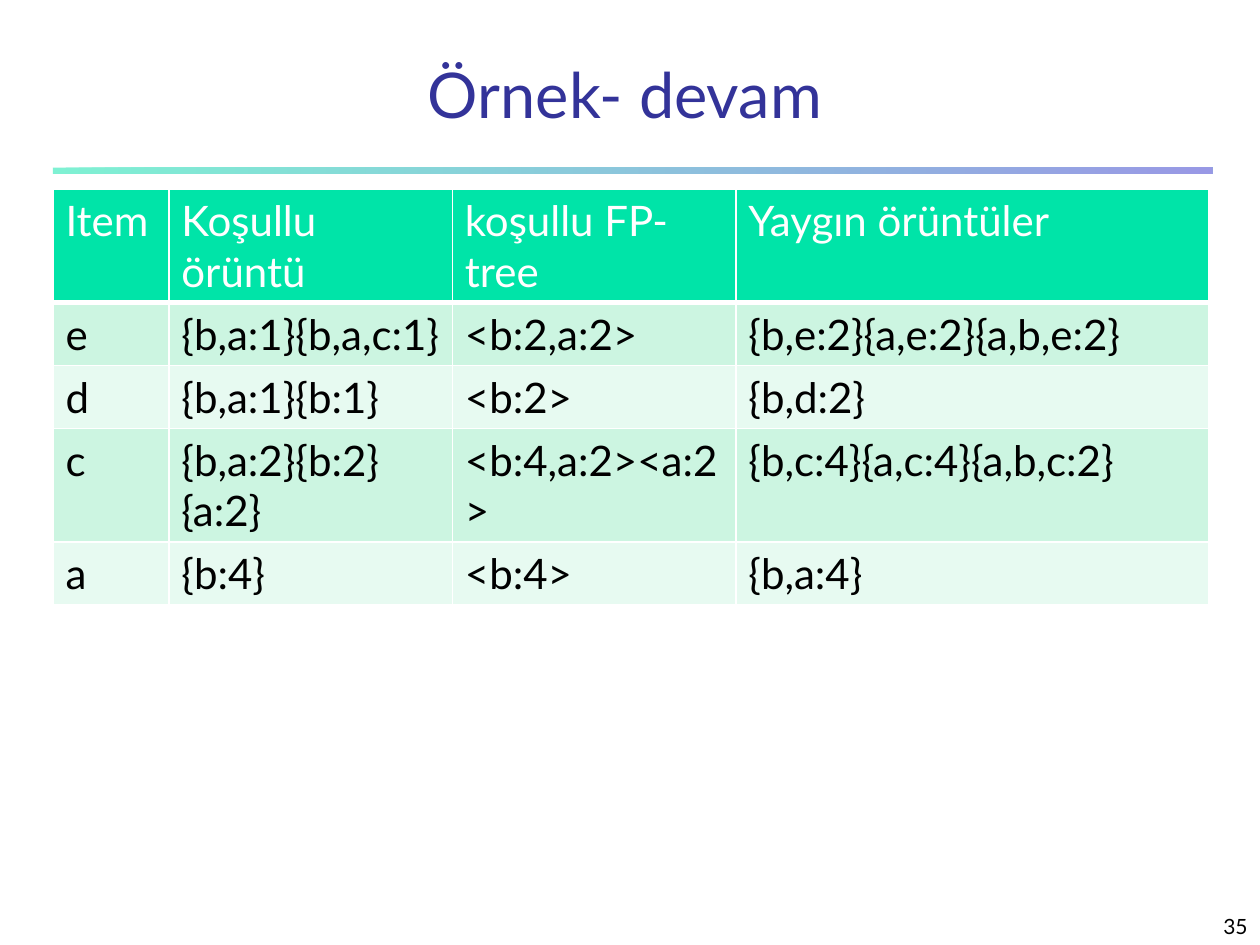
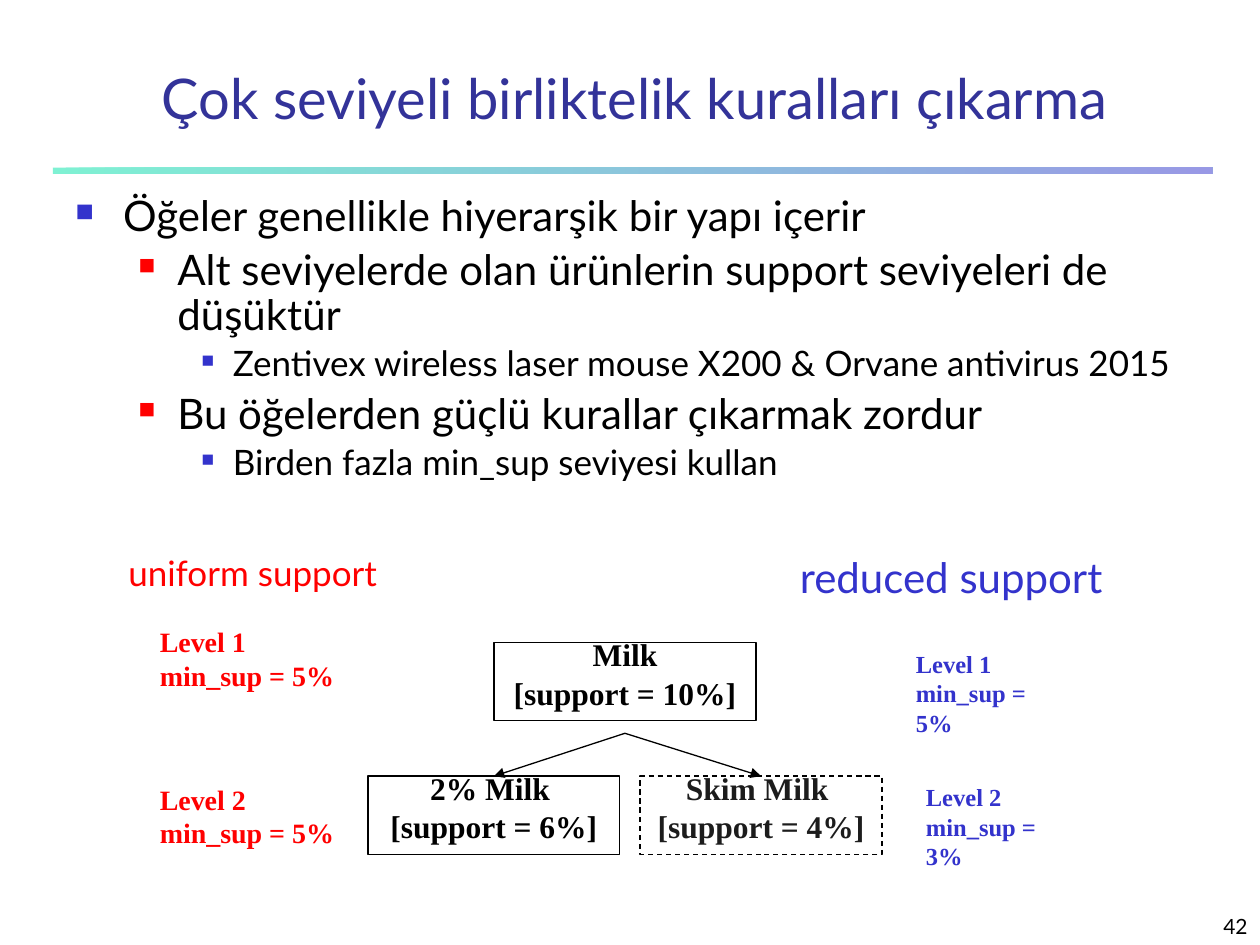
from dataclasses import dataclass

from lxml.etree import SubElement
from pptx import Presentation
from pptx.dml.color import RGBColor
from pptx.enum.dml import MSO_LINE as Dash
from pptx.enum.shapes import MSO_CONNECTOR as Link, MSO_SHAPE as Form
from pptx.enum.text import MSO_ANCHOR as Anchor, MSO_AUTO_SIZE as Fit, PP_ALIGN as Align
from pptx.oxml.ns import qn
from pptx.util import Emu, Pt

# Shared look
SCALE = 9144  # EMU in one px, 100 px to the inch
SANS, SERIF = "Lato", "Times New Roman"
BLACK, WHITE, RED, BLUE = "000000", "FFFFFF", "FF0000", "3333CC"
NAVY, GREEN, COAL = "333399", "00E4A8", "1C1C1C"
BANDS = ("CCF5E1", "E7FAF1")


@dataclass
class Bullet:
    left: int
    hang: int
    color: str
    ratio: int
    size: int


@dataclass
class Label:
    x: int
    y: int
    w: int
    h: int
    lines: tuple
    size: int
    color: str
    font: str = SERIF
    bold: bool = True


@dataclass
class Node:
    x: int
    y: int
    w: int
    lines: tuple
    color: str = BLACK
    dashed: bool = False


LEVELS = (Bullet(38, 38, BLUE, 60, 24), Bullet(81, 31, RED, 55, 24),
          Bullet(125, 25, BLUE, 50, 20))


# Helpers
def px(*vals: int) -> list:
    return [Emu(v * SCALE) for v in vals]


def rgb(code: str) -> RGBColor:
    return RGBColor.from_string(code)


def tag(root, name: str, **attrs):
    return SubElement(root, qn(name), {k: str(v) for k, v in attrs.items()})


def fade(shape, share: int) -> None:
    """Set the opacity of every fill colour, in percent."""
    for color in shape._element.spPr.iter(qn("a:srgbClr")):
        tag(color, "a:alpha", val=share * 1000)


def write(frame, text: str, *, size: int, color: str = BLACK, font: str = SANS,
          bold: bool = False, align=Align.LEFT, gap: float = 0, lead: float = 1.0):
    """Add one paragraph; gap is a share of the text size."""
    para = frame.paragraphs[0]
    if para.runs:
        para = frame.add_paragraph()
    para.alignment, para.line_spacing = align, lead
    para.space_before = Pt(round(gap * size, 1))
    run = para.add_run()
    run.text = text
    face = run.font
    face.name, face.size, face.bold = font, Pt(size), bold
    face.color.rgb = rgb(color)
    return para


def box(slide, x: int, y: int, w: int, h: int, anchor=Anchor.TOP, wrap: bool = True):
    frame = slide.shapes.add_textbox(*px(x, y, w, h)).text_frame
    frame.word_wrap, frame.vertical_anchor = wrap, anchor
    if not wrap:
        frame.auto_size = Fit.SHAPE_TO_FIT_TEXT
    return frame


def block(slide, x: int, y: int, w: int, h: int):
    shape = slide.shapes.add_shape(Form.RECTANGLE, *px(x, y, w, h))
    shape.shadow.inherit = False
    return shape


def base(deck, title: str, size: int, x: int, w: int, page: int):
    """Add a slide with its title, gradient rule and page number."""
    slide = deck.slides.add_slide(deck.slide_layouts[6])
    rule = block(slide, 42, 133, 920, 5)
    rule.line.fill.background()
    rule.fill.gradient()
    rule.fill.gradient_angle = 0
    for stop, color in zip(rule.fill.gradient_stops, (GREEN, BLUE)):
        stop.color.rgb = rgb(color)
    fade(rule, 50)
    write(box(slide, x, 42, w, 67, Anchor.BOTTOM), title, size=size,
          color=NAVY, align=Align.CENTER)
    write(box(slide, 792, 708, 208, 42, Anchor.BOTTOM), str(page), size=12,
          align=Align.RIGHT)
    return slide


def edge(cell, low: int) -> None:
    """Draw white cell borders; low is the bottom width in points."""
    props = cell._tc.get_or_add_tcPr()
    for side, width in (("L", 1), ("R", 1), ("T", 1), ("B", low)):
        line = tag(props, f"a:ln{side}", w=Pt(width))
        tag(tag(line, "a:solidFill"), "a:srgbClr", val=WHITE)


def grid(slide, x: int, y: int, cols: tuple, high: int, rows: tuple) -> None:
    size = px(x, y, sum(cols), high * len(rows))
    table = slide.shapes.add_table(len(rows), len(cols), *size).table
    table.first_row = table.horz_banding = False
    for col, wide in zip(table.columns, px(*cols)):
        col.width = wide
    for r, row in enumerate(rows):
        table.rows[r].height = Emu(high * SCALE)
        for c, text in enumerate(row):
            cell = table.cell(r, c)
            edge(cell, 1 if r else 3)
            cell.fill.solid()
            cell.fill.fore_color.rgb = rgb(BANDS[(r - 1) % 2] if r else GREEN)
            write(cell.text_frame, text, size=24, color=BLACK if r else WHITE)


def point(frame, level: int, text: str) -> None:
    look = LEVELS[level]
    para = write(frame, text, size=look.size, gap=0.2, lead=0.9)
    para.level = level
    props = para._p.get_or_add_pPr()
    props.set("marL", str(look.left * SCALE))
    props.set("indent", str(-look.hang * SCALE))
    tag(tag(props, "a:buClr"), "a:srgbClr", val=look.color)
    tag(props, "a:buSzPct", val=look.ratio * 1000)
    tag(props, "a:buChar", char="■")


def note(slide, label: Label) -> None:
    frame = box(slide, label.x, label.y, label.w, label.h, wrap=False)
    for text in label.lines:
        write(frame, text, size=label.size, color=label.color,
              font=label.font, bold=label.bold)


def node(slide, item: Node) -> None:
    shape = block(slide, item.x, item.y, item.w, 62)
    shape.fill.solid()
    shape.fill.fore_color.rgb = rgb(WHITE)
    shape.line.color.rgb, shape.line.width = rgb(BLACK), Pt(0.75)
    if item.dashed:
        fade_fill = shape._element.spPr.find(qn("a:solidFill"))
        tag(fade_fill[0], "a:alpha", val=50000)
        shape.line.dash_style = Dash.DASH
    frame = shape.text_frame
    frame.word_wrap, frame.vertical_anchor = True, Anchor.TOP
    for text in item.lines:
        write(frame, text, size=18, color=item.color, font=SERIF, bold=True,
              align=Align.CENTER, gap=0.5, lead=0.6)


def arrow(slide, x1: int, y1: int, x2: int, y2: int) -> None:
    link = slide.shapes.add_connector(Link.STRAIGHT, *px(x1, y1, x2, y2))
    link.line.color.rgb, link.line.width = rgb(BLACK), Pt(0.75)
    tag(link.line._get_or_add_ln(), "a:tailEnd", type="triangle")
    tag(link._element.spPr, "a:effectLst")


# Slide content
ROWS = (
    ("Item", "Koşullu örüntü", "koşullu FP-tree", "Yaygın örüntüler"),
    ("e", "{b,a:1}{b,a,c:1}", "<b:2,a:2>", "{b,e:2}{a,e:2}{a,b,e:2}"),
    ("d", "{b,a:1}{b:1}", "<b:2>", "{b,d:2}"),
    ("c", "{b,a:2}{b:2}{a:2}", "<b:4,a:2><a:2>", "{b,c:4}{a,c:4}{a,b,c:2}"),
    ("a", "{b:4}", "<b:4>", "{b,a:4}"),
)
POINTS = (
    (0, "Öğeler genellikle hiyerarşik bir yapı içerir"),
    (1, "Alt seviyelerde olan ürünlerin support seviyeleri de düşüktür"),
    (2, "Zentivex wireless laser mouse X200 & Orvane antivirus 2015"),
    (1, "Bu öğelerden güçlü kurallar çıkarmak zordur"),
    (2, "Birden fazla min_sup seviyesi kullan"),
)
NODES = (
    Node(392, 510, 208, ("Milk", "[support = 10%]")),
    Node(292, 616, 200, ("2% Milk ", "[support = 6%]")),
    Node(508, 616, 192, ("Skim Milk ", "[support = 4%]"), COAL, True),
)
LABELS = (
    Label(117, 491, 159, 64, ("Level 1", "min_sup = 5%"), 16, RED),
    Label(117, 616, 159, 64, ("Level 2", "min_sup = 5%"), 16, RED),
    Label(717, 510, 141, 57, ("Level 1", "min_sup = 5%"), 14, BLUE),
    Label(725, 616, 141, 57, ("Level 2", "min_sup = 3%"), 14, BLUE),
    Label(625, 433, 260, 50, ("reduced support",), 24, BLUE, SANS, False),
)


def main() -> None:
    deck = Presentation()
    deck.slide_width, deck.slide_height = px(1000, 750)

    # Pattern table
    slide = base(deck, "Örnek- devam", 36, 42, 908, 35)
    grid(slide, 42, 150, (92, 225, 225, 375), 41, ROWS)

    # Multi-level rules
    slide = base(deck, "Çok seviyeli birliktelik kuralları çıkarma", 32, 75, 858, 42)
    body = box(slide, 50, 150, 917, 258)
    for level, text in POINTS:
        point(body, level, text)
    write(box(slide, 92, 433, 267, 58), "uniform support", size=20, color=RED, gap=0.2)
    for item in NODES:
        node(slide, item)
    for label in LABELS:
        note(slide, label)
    for x in (392, 604):
        arrow(slide, 496, 582, x, 616)

    deck.save("out.pptx")


if __name__ == "__main__":
    main()
